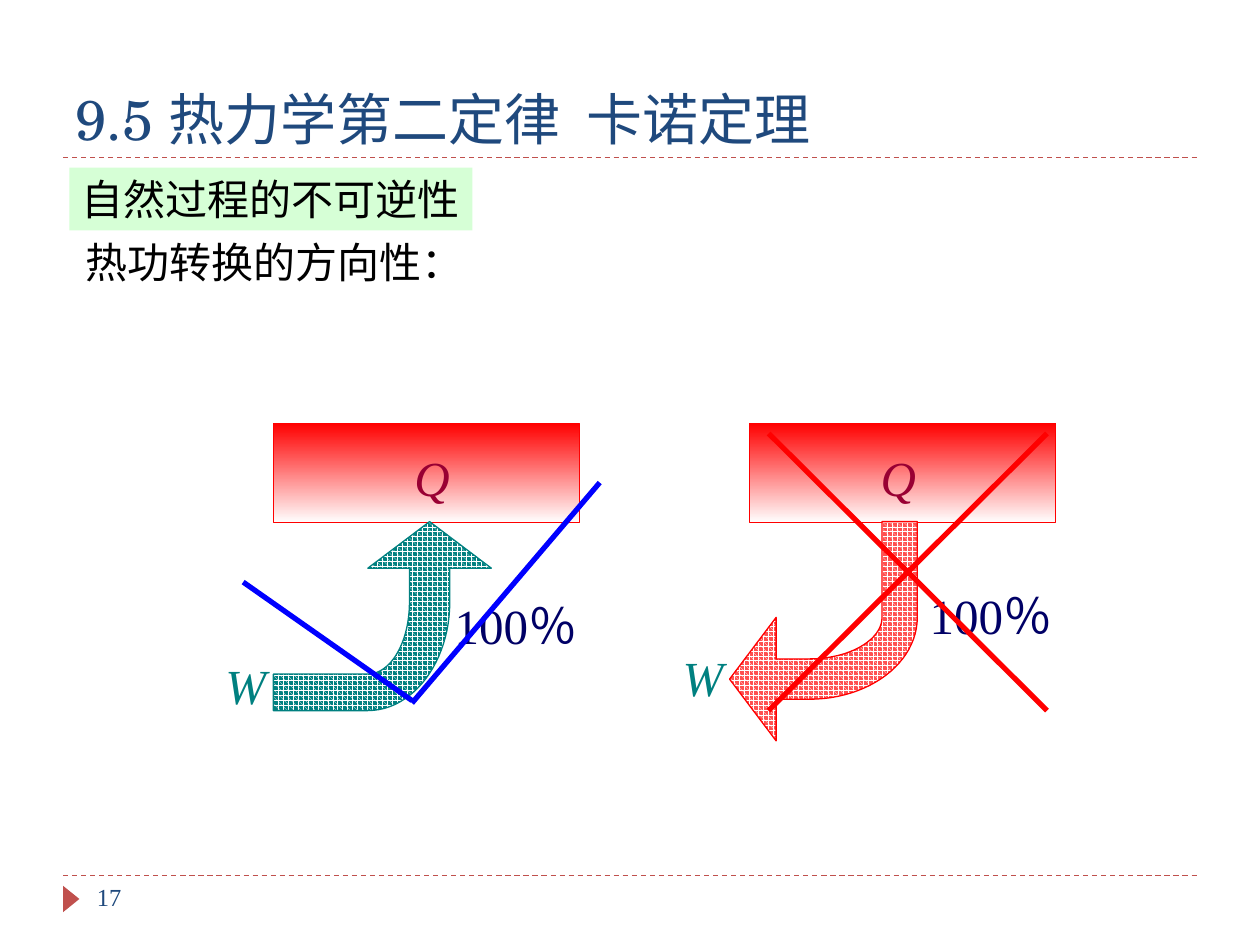
import lxml.etree
import pptx
import pptx.util
import pptx.dml.color
import pptx.enum.dml
import pptx.enum.shapes
import pptx.enum.text
import pptx.oxml.ns

Inches = pptx.util.Inches
Pt = pptx.util.Pt
qn = pptx.oxml.ns.qn
SHAPE = pptx.enum.shapes.MSO_SHAPE
ANCHOR = pptx.enum.text.MSO_ANCHOR
DASH = pptx.enum.dml.MSO_LINE.DASH

HUES = {
    "title": "1F497D", "rule": "C0504D", "mint": "CCFFCC", "black": "000000",
    "white": "FFFFFF", "red": "FF0000", "blue": "0000FF", "teal": "008080",
    "rose": "FF5050", "wine": "990033", "navy": "000066",
}
SERIF = "Times New Roman"


def hue(name):
    return pptx.dml.color.RGBColor.from_string(HUES[name])


def write(shape, text, size, color, font=SERIF, italic=False):
    run = shape.text_frame.paragraphs[0].add_run()
    run.text = text
    run.font.size = Pt(size)
    run.font.name = font
    run.font.italic = italic
    run.font.color.rgb = hue(color)


def label(shapes, box, text, size, color, anchor=ANCHOR.TOP, **style):
    shape = shapes.add_textbox(*map(Inches, box))
    shape.text_frame.word_wrap = True
    shape.text_frame.vertical_anchor = anchor
    write(shape, text, size, color, **style)


def block(shapes, kind, box):
    shape = shapes.add_shape(kind, *map(Inches, box))
    shape.shadow.inherit = False
    return shape


def edge(shape, color, width):
    shape.line.color.rgb = hue(color)
    shape.line.width = Pt(width)


def stroke(shapes, start, end, color, width):
    line = shapes.add_connector(pptx.enum.shapes.MSO_CONNECTOR.STRAIGHT,
                                *map(Inches, (*start, *end)))
    edge(line, color, width)
    lxml.etree.SubElement(line._element.spPr, qn("a:effectLst"))
    return line


def curve(start, ctrl1, ctrl2, end, steps=24):
    """Points of a cubic Bezier after its start."""
    points = []
    for i in range(1, steps + 1):
        t = i / steps
        mix = ((1 - t) ** 3, 3 * t * (1 - t) ** 2, 3 * t * t * (1 - t), t ** 3)
        points.append(tuple(sum(m * p[axis] for m, p in zip(mix, (start, ctrl1, ctrl2, end)))
                            for axis in (0, 1)))
    return points


def arrow(shapes, left, top, points, fill, line):
    spots = [(Inches(left + x), Inches(top + y)) for x, y in points]
    pen = shapes.build_freeform(*spots[0])
    pen.add_line_segments(spots[1:], close=True)
    shape = pen.convert_to_shape()
    shape.shadow.inherit = False
    shape.fill.patterned()
    shape.fill.pattern = pptx.enum.dml.MSO_PATTERN.SPHERE
    shape.fill.fore_color.rgb = hue("white")
    shape.fill.back_color.rgb = hue(fill)
    edge(shape, line, 0.75)


def frame(slide, left, top, width, height):
    """Title, dashed rules and page number."""
    shapes = slide.shapes
    for y in (top + 1, top + height):
        rule = stroke(shapes, (left, y), (left + width, y), "rule", 0.75)
        rule.line.dash_style = DASH
    mark = block(shapes, SHAPE.ISOSCELES_TRIANGLE,
                 (left - 0.04, top + height + 0.12, 0.21, 0.13))
    mark.rotation = 90
    mark.fill.solid()
    mark.fill.fore_color.rgb = hue("rule")
    mark.line.fill.background()
    label(shapes, (left, top, width, 1), "9.5 热力学第二定律  卡诺定理", 32, "title",
          anchor=ANCHOR.BOTTOM, font="TeX Gyre Schola")
    label(shapes, (left + 0.17, top + height, 2.17, 0.4), "17", 14, "title")


def topic(slide, left, top, width, height):
    """Highlighted heading with the line below it."""
    band = block(slide.shapes, SHAPE.RECTANGLE, (left, top, width, height))
    band.fill.solid()
    band.fill.fore_color.rgb = hue("mint")
    tint = band._element.spPr.find(qn("a:solidFill"))[0]
    lxml.etree.SubElement(tint, qn("a:alpha"), val="80000")
    band.line.fill.background()
    band.text_frame.word_wrap = False
    band.text_frame.vertical_anchor = ANCHOR.MIDDLE
    write(band, "自然过程的不可逆性", 24, "black")
    label(slide.shapes, (left + 0.03, top + height, 3.92, height), "热功转换的方向性：", 24, "black")


def process(slide, left, top, width, height, points, fill, line, spots):
    """Heat reservoir, bent arrow and its labels."""
    shapes = slide.shapes.add_group_shape().shapes
    tank = block(shapes, SHAPE.RECTANGLE, (left, top, width, height))
    tank.fill.gradient()
    tank.fill.gradient_angle = 270
    for stop, color in zip(tank.fill.gradient_stops, ("red", "white")):
        stop.color.rgb = hue(color)
    edge(tank, "red", 0.75)
    arrow(shapes, left, top, points, fill, line)
    texts = (("W", "teal", 1.02), ("Q", "wine", 1.02), ("100％", "navy", 1.73))
    for (text, color, wide), (x, y) in zip(texts, spots):
        label(shapes, (left + x, top + y, wide, 0.57), text, 28, color,
              italic=text in "WQ")


def marks(slide, lines, color):
    shapes = slide.shapes.add_group_shape().shapes
    for start, end in lines:
        stroke(shapes, start, end, color, 3)


def main():
    deck = pptx.Presentation()
    deck.slide_width, deck.slide_height = Inches(10), Inches(7.5)
    slide = deck.slides.add_slide(deck.slide_layouts[6])

    frame(slide, 0.5, 0.25, 9, 6.7)
    topic(slide, 0.55, 1.33, 3.2, 0.5)

    # Work turns fully into heat
    rise = [(1.24, 0.78), (1.73, 1.15), (1.4, 1.15), (1.4, 1.42),
            *curve((1.4, 1.42), (1.4, 1.89), (1.11, 2.28), (0.75, 2.28)),
            (0, 2.28), (0, 1.99), (0.75, 1.99),
            *curve((0.75, 1.99), (0.93, 1.99), (1.08, 1.74), (1.08, 1.42)),
            (1.08, 1.15), (0.75, 1.15)]
    process(slide, 2.17, 3.36, 2.43, 0.79, rise, "teal", "teal",
            ((-0.48, 1.79), (1.02, 0.14), (1.34, 1.32)))

    # Heat does not turn fully into work
    fall = [(-0.16, 2.03), (0.21, 2.52), (0.21, 2.19), (0.47, 2.19),
            *curve((0.47, 2.19), (0.95, 2.19), (1.33, 1.9), (1.33, 1.54)),
            (1.33, 0.78), (1.05, 0.78), (1.05, 1.54),
            *curve((1.05, 1.54), (1.05, 1.72), (0.79, 1.87), (0.47, 1.87)),
            (0.21, 1.87), (0.21, 1.54)]
    process(slide, 5.95, 3.36, 2.43, 0.79, fall, "rose", "red",
            ((-0.63, 1.73), (0.94, 0.14), (1.33, 1.24)))

    # Cross and tick
    marks(slide, (((8.31, 3.44), (6.1, 5.64)), ((6.1, 3.44), (8.31, 5.64))), "red")
    marks(slide, (((1.93, 4.62), (3.27, 5.56)), ((3.27, 5.58), (4.76, 3.83))), "blue")

    deck.save("out.pptx")


if __name__ == "__main__":
    main()
